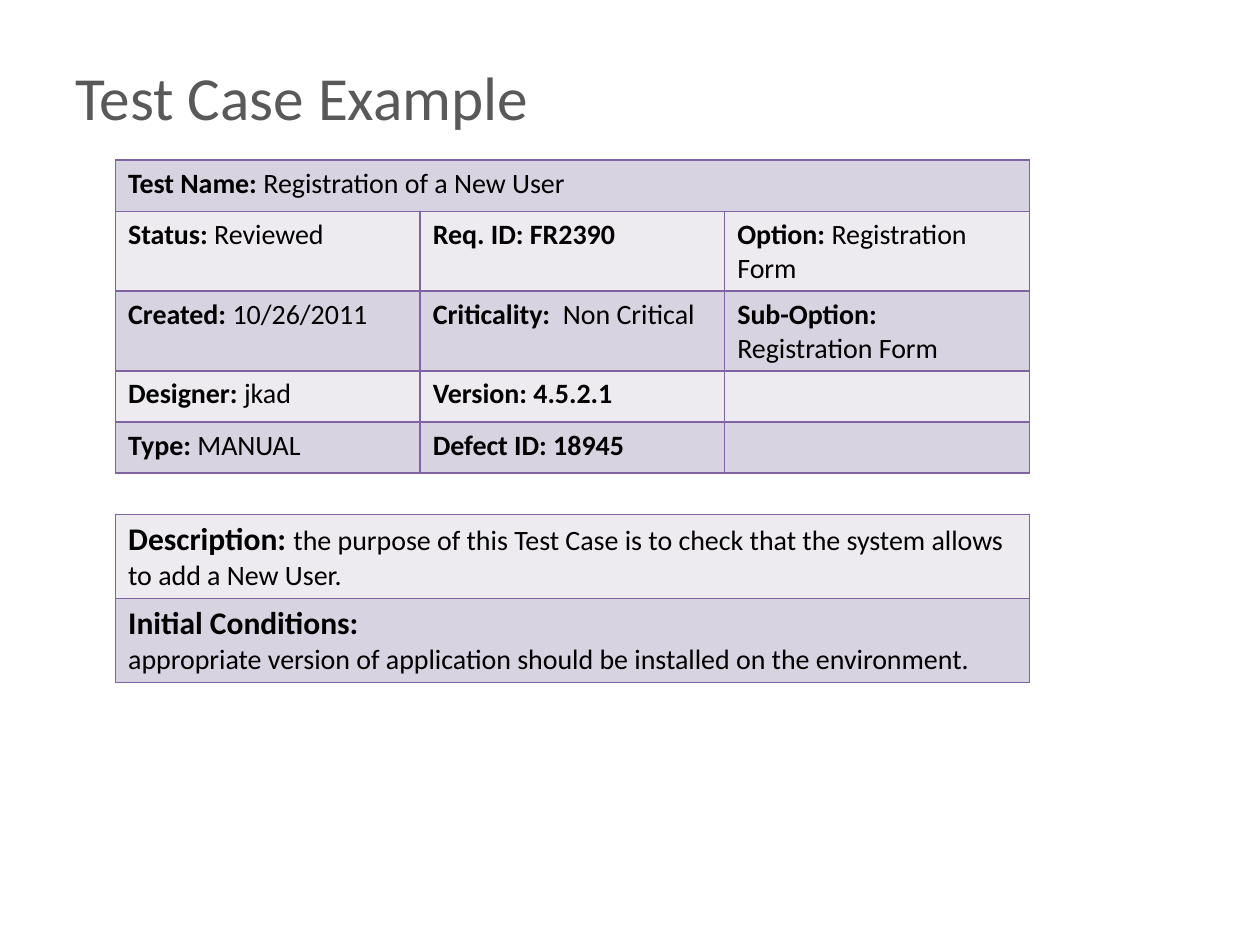
import pptx
import pptx.dml.color
import pptx.enum.text
import pptx.oxml
import pptx.oxml.ns
import pptx.util

Cm = pptx.util.Cm
Pt = pptx.util.Pt
RGBColor = pptx.dml.color.RGBColor

GREY = RGBColor(0x59, 0x59, 0x59)
BLACK = RGBColor(0, 0, 0)
PURPLE = RGBColor(0x80, 0x64, 0xA2)
DARK_BAND = RGBColor(0xD8, 0xD3, 0xE0)
LIGHT_BAND = RGBColor(0xED, 0xEA, 0xF0)

# Content: a cell is a list of paragraphs, a paragraph is (bold label, plain value)
TITLE = "Test Case Example"
PROPERTIES = [
    [[("Test Name: ", "Registration of a New User ")]],
    [[("Status: ", "Reviewed")], [("Req. ID: FR2390", "")],
     [("Option: ", "Registration Form")]],
    [[("Created: ", "10/26/2011")], [("Criticality:  ", "Non Critical")],
     [("Sub-Option: ", "Registration Form")]],
    [[("Designer: ", "jkad")], [("Version: 4.5.2.1", "")], []],
    [[("Type: ", "MANUAL")], [("Defect ID: 18945", "")], []],
]
DETAILS = [
    [[("Description: ", "the purpose of this Test Case is to check that "
       "the system allows to add a New User. ")]],
    [[("Initial Conditions: ", ""),
      ("", "appropriate version of application should be installed "
       "on the environment.")]],
]
TABLES = [
    {"rows": PROPERTIES, "columns": 3, "top": Cm(3.23), "label_size": 16,
     "bands": (DARK_BAND, LIGHT_BAND)},
    {"rows": DETAILS, "columns": 1, "top": Cm(10.37), "label_size": 18,
     "bands": (LIGHT_BAND, DARK_BAND)},
]
TABLE_LEFT, TABLE_WIDTH, ROW_HEIGHT = Cm(2.33), Cm(18.42), Cm(1.03)
VALUE_SIZE = 16


def add_run(paragraph, text, size, color, bold=False):
    run = paragraph.add_run()
    run.text = text
    formats = {"name": "Calibri", "size": Pt(size), "bold": bold}
    for name, value in formats.items():
        setattr(run.font, name, value)
    run.font.color.rgb = color


def add_borders(cell):
    properties = cell._tc.get_or_add_tcPr()
    for index, side in enumerate(("lnL", "lnR", "lnT", "lnB")):
        properties.insert(index, pptx.oxml.parse_xml(
            f'<a:{side} {pptx.oxml.ns.nsdecls("a")} w="{Pt(1)}">'
            f'<a:solidFill><a:srgbClr val="{PURPLE}"/></a:solidFill></a:{side}>'))


def fill_cell(cell, paragraphs, label_size):
    for index, (label, value) in enumerate(paragraphs):
        frame = cell.text_frame
        paragraph = frame.add_paragraph() if index else frame.paragraphs[0]
        if label:
            add_run(paragraph, label, label_size, BLACK, bold=True)
        if value:
            add_run(paragraph, value, VALUE_SIZE, BLACK)


def add_banded_table(slide, rows, columns, top, label_size, bands):
    table = slide.shapes.add_table(
        len(rows), columns, TABLE_LEFT, top, TABLE_WIDTH, ROW_HEIGHT * len(rows)).table
    table.first_row = table.horz_banding = False
    for row_index, row in enumerate(rows):
        # A row with fewer cells than columns spans the whole width
        if len(row) < columns:
            table.cell(row_index, 0).merge(table.cell(row_index, columns - 1))
        for column_index in range(columns):
            cell = table.cell(row_index, column_index)
            cell.fill.solid()
            cell.fill.fore_color.rgb = bands[row_index % 2]
            add_borders(cell)
            if column_index < len(row):
                fill_cell(cell, row[column_index], label_size)


presentation = pptx.Presentation()
presentation.slide_width, presentation.slide_height = Cm(25.4), Cm(19.05)
slide = presentation.slides.add_slide(presentation.slide_layouts[6])

# Title
title_frame = slide.shapes.add_textbox(Cm(1.27), Cm(1.07), Cm(9.73), Cm(1.75)).text_frame
title_frame.word_wrap = False
title_frame.auto_size = pptx.enum.text.MSO_AUTO_SIZE.SHAPE_TO_FIT_TEXT
add_run(title_frame.paragraphs[0], TITLE, 35, GREY)

# Tables
for table_content in TABLES:
    add_banded_table(slide, **table_content)

presentation.save("out.pptx")
